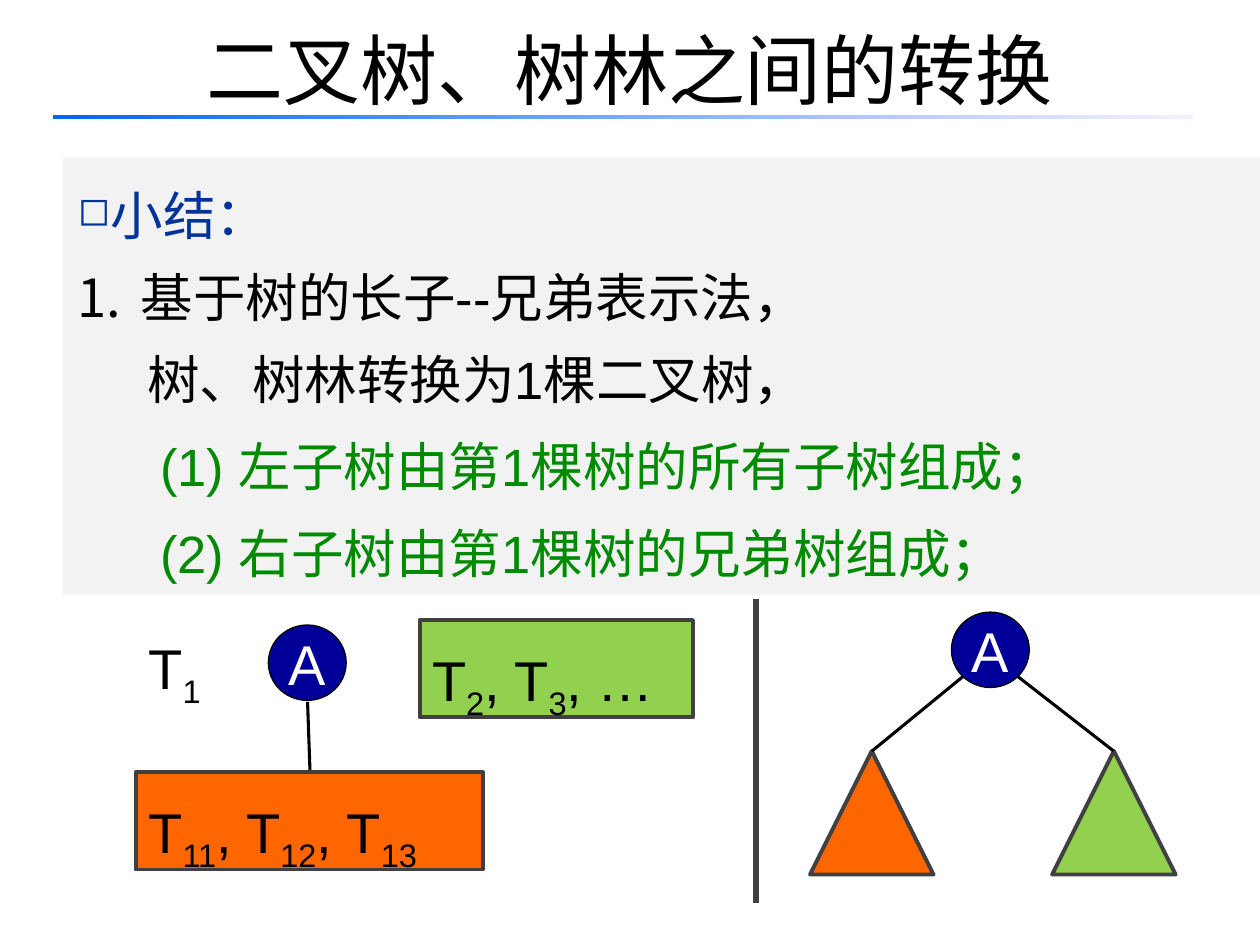
from dataclasses import dataclass

from lxml.etree import SubElement
from pptx import Presentation
from pptx.dml.color import RGBColor
from pptx.enum.shapes import MSO_CONNECTOR, MSO_SHAPE
from pptx.enum.text import MSO_ANCHOR, PP_ALIGN
from pptx.oxml.ns import qn
from pptx.util import Cm, Pt


@dataclass(frozen=True)
class Theme:
    latin: str = "Arial"
    cjk: str = "Noto Sans CJK SC"
    black: str = "000000"
    white: str = "FFFFFF"
    heading: str = "003399"
    point: str = "008A00"
    panel: str = "F2F2F2"
    bar_start: str = "0066FF"
    bar_end: str = "F7EFFF"
    node: str = "000099"
    children: str = "FF6600"
    siblings: str = "92D050"
    outline: str = "404040"
    title_size: int = 44
    body_size: int = 30
    label_size: int = 32


class SlideBuilder:
    def __init__(self, slide, theme):
        self.shapes = slide.shapes
        self.theme = theme

    def style_run(self, r, size, color, latin=None):
        r.font.size = Pt(size)
        r.font.color.rgb = RGBColor.from_string(color)
        r.font.name = latin or self.theme.latin
        SubElement(r._r.rPr, qn("a:ea"), typeface=self.theme.cjk)

    def shape(self, kind, box, fill, line=None, width=2.25):
        sp = self.shapes.add_shape(kind, *map(Cm, box))
        sp.shadow.inherit = False
        sp.fill.solid()
        sp.fill.fore_color.rgb = RGBColor.from_string(fill)
        if line:
            sp.line.color.rgb = RGBColor.from_string(line)
            sp.line.width = Pt(width)
        else:
            sp.line.fill.background()
        return sp

    def title(self, box, text):
        tf = self.shapes.add_textbox(*map(Cm, box)).text_frame
        tf.word_wrap = True
        tf.vertical_anchor = MSO_ANCHOR.MIDDLE
        tf.text = text
        p = tf.paragraphs[0]
        p.alignment = PP_ALIGN.CENTER
        t = self.theme
        self.style_run(p.runs[0], t.title_size, t.black, t.cjk)

    def gradient_bar(self, box):
        t = self.theme
        sp = self.shape(MSO_SHAPE.RECTANGLE, box, t.bar_start)
        sp.fill.gradient()
        sp.fill.gradient_angle = 0
        for stop, color in zip(sp.fill.gradient_stops, (t.bar_start, t.bar_end)):
            stop.color.rgb = RGBColor.from_string(color)

    def bullet(self, p, mark):
        pPr = p._p.get_or_add_pPr()
        if mark == "1.":
            SubElement(pPr, qn("a:buFont"), typeface=self.theme.cjk)
            SubElement(pPr, qn("a:buAutoNum"), type="arabicPeriod")
        elif mark:
            SubElement(pPr, qn("a:buSzPct"), val="75000")
            SubElement(pPr, qn("a:buChar"), char=mark)
        else:
            SubElement(pPr, qn("a:buNone"))

    def panel(self, box, lines):
        sp = self.shape(MSO_SHAPE.RECTANGLE, box, self.theme.panel)
        tf = sp.text_frame
        tf.word_wrap = True
        tf.vertical_anchor = MSO_ANCHOR.TOP
        tf.margin_left = 0
        for i, (text, mark, left, hang, color, before) in enumerate(lines):
            p = tf.add_paragraph() if i else tf.paragraphs[0]
            p.text = text
            pPr = p._p.get_or_add_pPr()
            pPr.set("marL", str(Cm(left)))
            pPr.set("indent", str(-Cm(hang)))
            self.bullet(p, mark)
            p.alignment = PP_ALIGN.JUSTIFY
            p.line_spacing = 1.3
            if before:
                p.space_before = Pt(before)
            self.style_run(p.runs[0], self.theme.body_size, color)

    def node(self, left, top, text):
        t = self.theme
        sp = self.shape(MSO_SHAPE.OVAL, (left, top, 1.57, 1.52), t.node, t.black, 0.75)
        tf = sp.text_frame
        tf.word_wrap = False
        tf.vertical_anchor = MSO_ANCHOR.MIDDLE
        tf.text = text
        tf.paragraphs[0].alignment = PP_ALIGN.CENTER
        self.style_run(tf.paragraphs[0].runs[0], t.label_size, t.white)

    def tree_label(self, left, top, width, parts, fill=None):
        t = self.theme
        box = (left, top, width, 1.96)
        if fill:
            sp = self.shape(MSO_SHAPE.RECTANGLE, box, fill, t.outline)
        else:
            sp = self.shapes.add_textbox(*map(Cm, box))
        tf = sp.text_frame
        tf.word_wrap = True
        tf.vertical_anchor = MSO_ANCHOR.TOP
        p = tf.paragraphs[0]
        p.alignment = PP_ALIGN.LEFT
        p.line_spacing = 1.25
        for i, text in enumerate(parts):
            r = p.add_run()
            r.text = text
            self.style_run(r, t.label_size, t.black)
            if i % 2:
                r._r.rPr.set("baseline", "-25000")

    def subtree(self, left, fill):
        box = (left, 15.14, 2.49, 2.49)
        self.shape(MSO_SHAPE.ISOSCELES_TRIANGLE, box, fill, self.theme.outline)

    def line(self, start, end, color, width=1.75):
        cx = self.shapes.add_connector(MSO_CONNECTOR.STRAIGHT, *map(Cm, start + end))
        cx.line.color.rgb = RGBColor.from_string(color)
        cx.line.width = Pt(width)
        SubElement(cx._element.spPr, qn("a:effectLst"))


def main():
    prs = Presentation()
    prs.slide_width, prs.slide_height = Cm(25.4), Cm(19.05)
    t = Theme()
    s = SlideBuilder(prs.slides.add_slide(prs.slide_layouts[6]), t)

    s.title((1.27, -0.2, 22.86, 3.18), "二叉树、树林之间的转换")
    s.gradient_bar((1.07, 2.31, 22.99, 0.1))
    s.panel((1.27, 3.18, 24.13, 8.81), [
        ("小结：", "◻", 0.94, 0.64, t.heading, 0),
        ("基于树的长子--兄弟表示法，", "1.", 1.57, 1.27, t.black, 0),
        ("树、树林转换为1棵二叉树，", None, 1.7, 0, t.black, 0),
        ("(1) 左子树由第1棵树的所有子树组成；", None, 1.96, 0, t.point, 3),
        ("(2) 右子树由第1棵树的兄弟树组成；", None, 1.96, 0, t.point, 3),
    ])

    s.node(5.41, 12.6, "A")
    s.line((6.2, 14.15), (6.25, 15.57), t.black)
    s.tree_label(2.74, 15.57, 6.99, ["T", "11", ", T", "12", ", T", "13"], t.children)
    s.tree_label(8.46, 12.5, 5.51, ["T", "2", ", T", "3", ", …"], t.siblings)
    s.tree_label(2.74, 12.27, 2.11, ["T", "1"])

    s.node(19.18, 12.34, "A")
    s.subtree(16.33, t.children)
    s.subtree(21.21, t.siblings)
    s.line((19.41, 13.64), (17.58, 15.14), t.black)
    s.line((20.52, 13.64), (22.45, 15.14), t.black)
    s.line((15.24, 12.07), (15.24, 18.21), t.outline, 3)

    prs.save("out.pptx")


if __name__ == "__main__":
    main()
